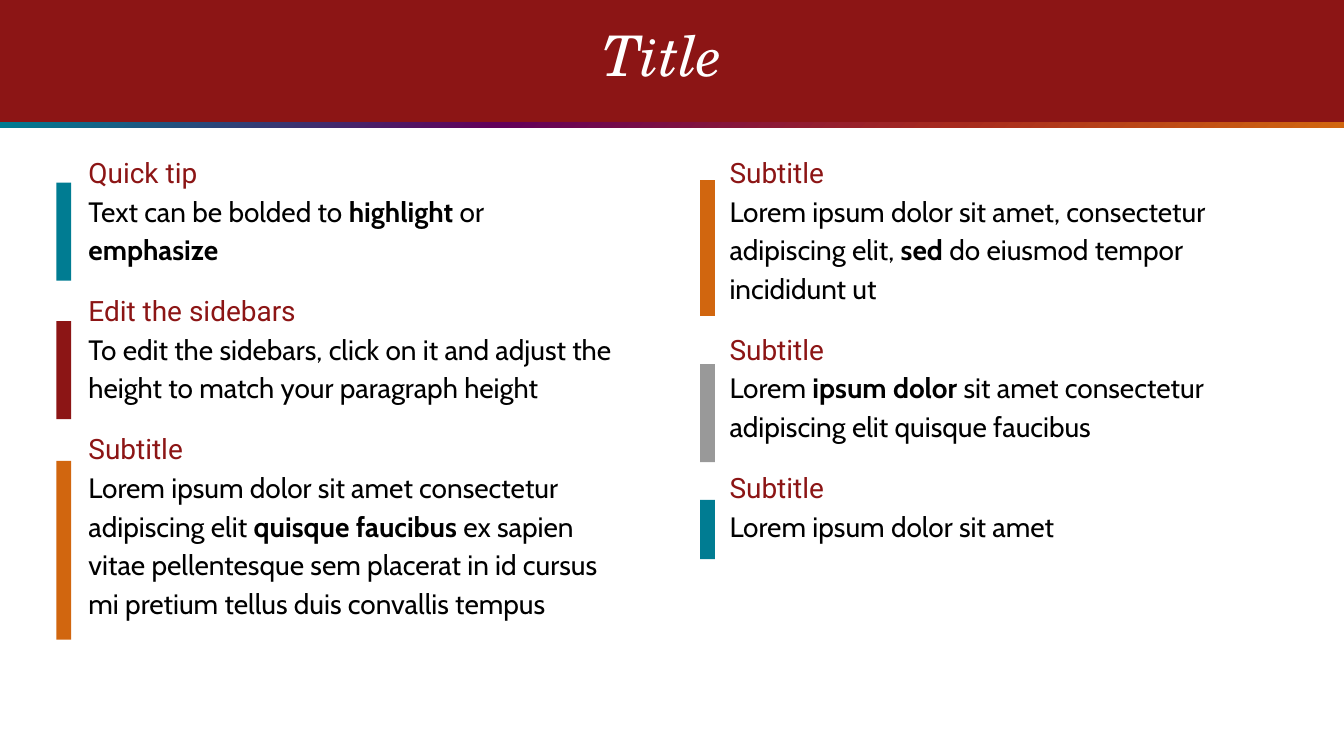
"""Build a title slide with two columns of subtitled paragraphs and coloured sidebars."""
from lxml import etree
from pptx import Presentation
from pptx import util as u
from pptx.dml.color import RGBColor
from pptx.enum import shapes, text
from pptx.oxml.ns import qn

RED = RGBColor(0x8C, 0x15, 0x15)
TEAL = RGBColor(0x00, 0x7C, 0x92)
PURPLE = RGBColor(0x62, 0x00, 0x59)
BRICK = RGBColor(0xA7, 0x2A, 0x1E)
ORANGE = RGBColor(0xD1, 0x66, 0x0F)
GREY = RGBColor(0x99, 0x99, 0x99)
BLACK = RGBColor(0, 0, 0)
WHITE = RGBColor(0xFF, 0xFF, 0xFF)

LEFT = [
    ("Quick tip", ["Text can be bolded to ", "highlight", " or ", "emphasize"]),
    ("Edit the sidebars", ["To edit the sidebars, click on it and adjust the "
                           "height to match your paragraph height"]),
    ("Subtitle", ["Lorem ipsum dolor sit amet consectetur adipiscing elit ",
                  "quisque faucibus",
                  " ex sapien vitae pellentesque sem placerat in id cursus "
                  "mi pretium tellus duis convallis tempus"]),
]
RIGHT = [
    ("Subtitle", ["Lorem ipsum dolor sit amet, consectetur adipiscing elit, ",
                  "sed", " do eiusmod tempor incididunt ut"]),
    ("Subtitle", ["Lorem ", "ipsum dolor",
                  " sit amet consectetur adipiscing elit quisque faucibus"]),
    ("Subtitle", ["Lorem ipsum dolor sit amet"]),
]
LEFT_BARS = [(1.36, 0.73, TEAL), (2.39, 0.73, RED), (3.43, 1.33, ORANGE)]
RIGHT_BARS = [(1.34, 1.01, ORANGE), (2.71, 0.73, GREY), (3.72, 0.44, TEAL)]


class Deck:
    title_font, head_font, body_font = "TeX Gyre Schola", "Roboto", "Cabin"
    title_size, body_size = 30, 15

    def __init__(self, slide):
        self.s = slide

    def rect(self, x, y, w, h, color):
        sp = self.s.shapes.add_shape(shapes.MSO_SHAPE.RECTANGLE, u.Inches(x),
                                     u.Inches(y), u.Inches(w), u.Inches(h))
        sp.shadow.inherit = False
        sp.line.fill.background()
        sp.fill.solid()
        sp.fill.fore_color.rgb = color
        return sp

    def gradient_rect(self, x, y, w, h, stops):
        sp = self.rect(x, y, w, h, stops[0][1])
        sp.fill.gradient()
        sp.fill.gradient_angle = 315
        gs_list = next(sp._element.spPr.iter(qn("a:gsLst")))
        for gs in list(gs_list):
            gs_list.remove(gs)
        for percent, color in stops:
            gs = etree.SubElement(gs_list, qn("a:gs"), pos=str(percent * 1000))
            etree.SubElement(gs, qn("a:srgbClr"), val=str(color))

    def box(self, x, y, w, h, inset):
        tf = self.s.shapes.add_textbox(u.Inches(x), u.Inches(y), u.Inches(w),
                                       u.Inches(h)).text_frame
        tf.word_wrap = True
        tf.margin_top = tf.margin_bottom = u.Inches(inset)
        return tf

    def run(self, p, words, font, size, color, bold=False, italic=False):
        r = p.add_run()
        r.text = words
        r.font.name, r.font.size = font, u.Pt(size)
        r.font.bold, r.font.italic = bold, italic
        r.font.color.rgb = color

    def title(self, words):
        p = self.box(0.67, 0.09, 8.52, 0.62, 0.1).paragraphs[0]
        p.alignment = text.PP_ALIGN.CENTER
        p.line_spacing = 0.95
        self.run(p, words, self.title_font, self.title_size, WHITE, italic=True)

    def column(self, x, w, sections):
        tf = self.box(x, 1.07, w, 4.34, 0.05)
        for i, (head, parts) in enumerate(sections):
            p = tf.add_paragraph() if i else tf.paragraphs[0]
            p.line_spacing = 1.15
            if i:
                p.space_before = u.Pt(12)
            self.run(p, head, self.head_font, self.body_size, RED)
            br = etree.SubElement(p._p, qn("a:br"))
            etree.SubElement(br, qn("a:rPr"), sz=str(self.body_size * 100))
            for j, part in enumerate(parts):
                self.run(p, part, self.body_font, self.body_size, BLACK, bold=j % 2 == 1)

    def sidebars(self, x, bars):
        for y, h, color in bars:
            self.rect(x, y, 0.11, h, color)


def main():
    prs = Presentation()
    prs.slide_width = u.Inches(10)
    prs.slide_height = prs.slide_width * 9 // 16
    deck = Deck(prs.slides.add_slide(prs.slide_layouts[6]))
    deck.rect(0, 0, 10, 0.91, RED)
    deck.gradient_rect(0, 0.91, 10, 0.04,
                       [(0, TEAL), (37, PURPLE), (71, BRICK), (100, ORANGE)])
    deck.title("Title")
    deck.column(0.56, 4.1, LEFT)
    deck.column(5.33, 4.36, RIGHT)
    deck.sidebars(0.42, LEFT_BARS)
    deck.sidebars(5.21, RIGHT_BARS)
    prs.save("out.pptx")


if __name__ == "__main__":
    main()
